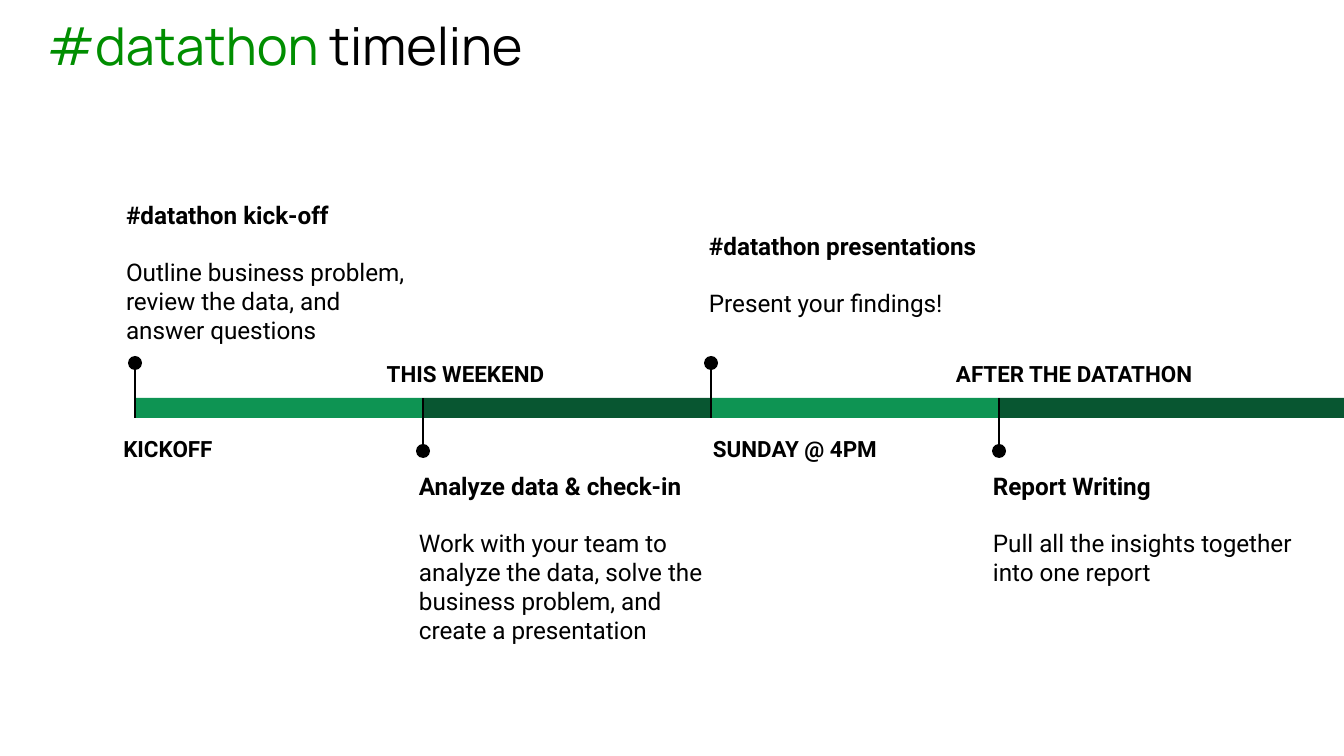
from lxml.etree import SubElement
from pptx import Presentation
from pptx.dml.color import RGBColor
from pptx.enum.shapes import MSO_CONNECTOR, MSO_SHAPE
from pptx.enum.text import MSO_ANCHOR, MSO_AUTO_SIZE, PP_ALIGN
from pptx.oxml.ns import qn
from pptx.util import Emu, Pt

SCALE = 9144000 / 1344
INSET = 13
BAR_LEFT, BAR_STEP, BAR_TOP, BAR_HEIGHT = 135, 288, 398, 20
SLIDE_WIDTH, SLIDE_HEIGHT = 1344, 756
DOT = 14
LIGHT_GREEN, DARK_GREEN, BLACK = "0E9453", "085631", "000000"


def px(*lengths):
    return [Emu(round(length * SCALE)) for length in lengths]


def color(value):
    return RGBColor.from_string(value)


deck = Presentation()
deck.slide_width, deck.slide_height = px(SLIDE_WIDTH, SLIDE_HEIGHT)
page = deck.slides.add_slide(deck.slide_layouts[5])

title = page.shapes.title
title.left, title.top, title.width, title.height = px(34, 0, 739, 112)
frame = title.text_frame
frame.auto_size = MSO_AUTO_SIZE.NONE
frame.vertical_anchor = MSO_ANCHOR.TOP
frame.margin_left, frame.margin_top, frame.margin_right, frame.margin_bottom = px(*[INSET] * 4)
para = frame.paragraphs[0]
para.alignment = PP_ALIGN.LEFT
for text, shade in [("#datathon", "008E00"), (" timeline", BLACK)]:
    span = para.add_run()
    span.text = text
    span.font.name = "Manrope"
    span.font.size = Pt(28)
    span.font.color.rgb = color(shade)

stages = [
    ("KICKOFF", (71, 418, 194, 55), PP_ALIGN.CENTER,
     "#datathon kick-off",
     "Outline business problem, review the data, and answer questions",
     (113, 187, 310, 211)),
    ("THIS WEEKEND", (370, 343, 191, 55), PP_ALIGN.CENTER,
     "Analyze data & check-in",
     "Work with your team to analyze the data, solve the business problem, and create a presentation",
     (406, 458, 331, 285)),
    ("SUNDAY @ 4PM", (664, 418, 262, 55), PP_ALIGN.CENTER,
     "#datathon presentations", "Present your findings!",
     (696, 218, 331, 138)),
    ("AFTER THE DATATHON", (943, 343, 378, 55), PP_ALIGN.LEFT,
     "Report Writing", "Pull all the insights together into one report",
     (980, 458, 331, 196)),
]

for index, (label, label_area, alignment, heading, detail, note_area) in enumerate(stages):
    left = BAR_LEFT + index * BAR_STEP
    width = SLIDE_WIDTH - left if index == len(stages) - 1 else BAR_STEP
    points_up = index % 2 == 0
    dot_middle = 363 if points_up else 451
    line_end = BAR_TOP + BAR_HEIGHT if points_up else BAR_TOP

    for kind, area, fill in [
        (MSO_SHAPE.RECTANGLE, (left, BAR_TOP, width, BAR_HEIGHT),
         LIGHT_GREEN if points_up else DARK_GREEN),
        (MSO_SHAPE.OVAL, (left - DOT // 2, dot_middle - DOT // 2, DOT, DOT), BLACK),
    ]:
        shape = page.shapes.add_shape(kind, *px(*area))
        shape.shadow.inherit = False
        shape.fill.solid()
        shape.fill.fore_color.rgb = color(fill)
        shape.line.fill.background()

    pin = page.shapes.add_connector(MSO_CONNECTOR.STRAIGHT, *px(left, dot_middle, left, line_end))
    pin.line.color.rgb = color(BLACK)
    pin.line.width = Pt(0.75)
    SubElement(pin.element.spPr, qn("a:effectLst"))

    for area, lines, size, align, spacing in [
        (label_area, [(label, True)], 12, alignment, 1.15),
        (note_area, [(heading, True), (detail, False)], 13, PP_ALIGN.LEFT, 1.0),
    ]:
        box = page.shapes.add_textbox(*px(*area))
        frame = box.text_frame
        frame.word_wrap = True
        frame.margin_left, frame.margin_top, frame.margin_right, frame.margin_bottom = px(*[INSET] * 4)
        for number, (text, bold) in enumerate(lines):
            para = frame.add_paragraph() if number else frame.paragraphs[0]
            para.alignment = align
            para.line_spacing = spacing
            if number:
                para.space_before = Pt(15)
            span = para.add_run()
            span.text = text
            span.font.name = "Roboto"
            span.font.size = Pt(size)
            span.font.bold = bold
            span.font.color.rgb = color(BLACK)

deck.save("out.pptx")
